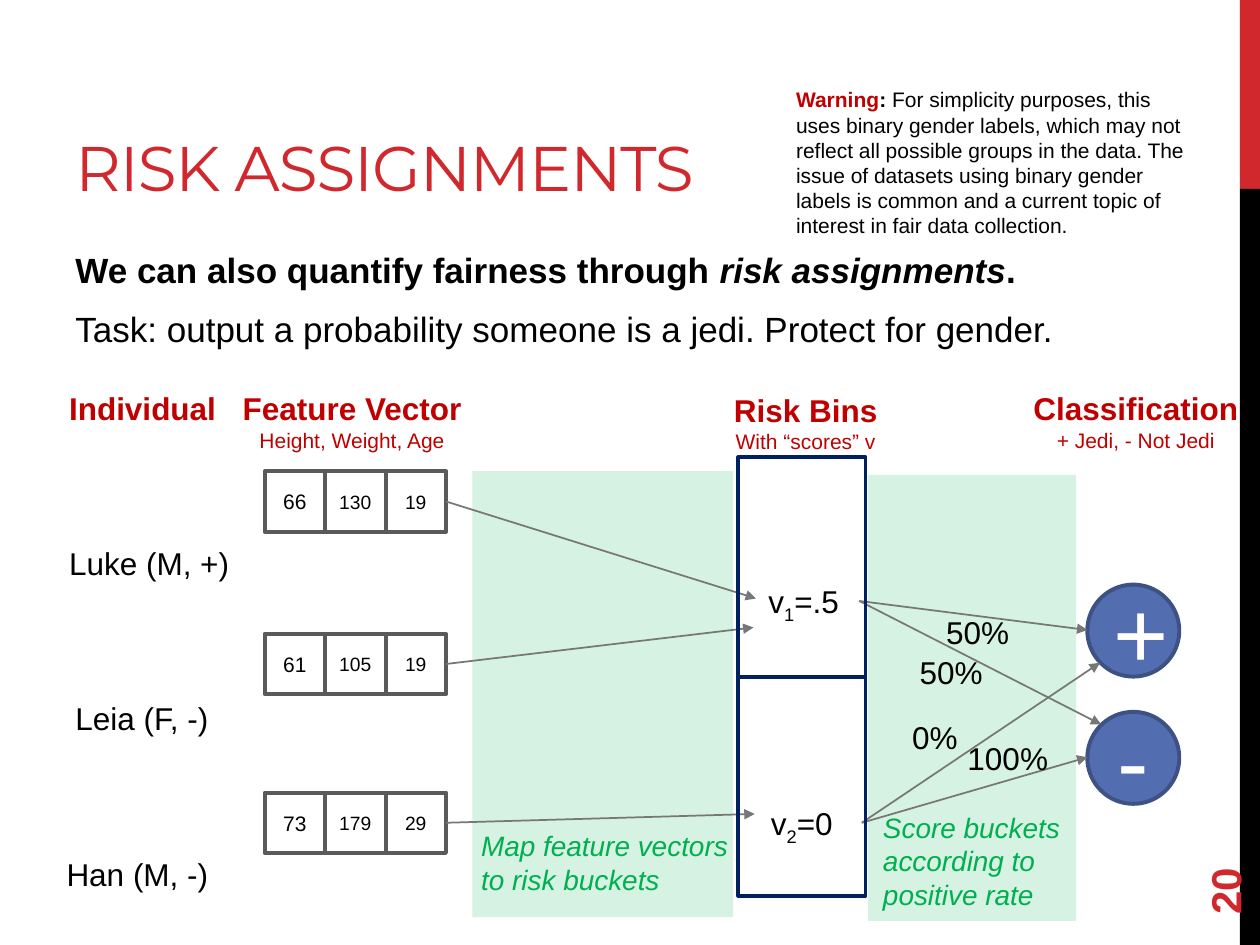
from lxml import etree
from pptx import Presentation
from pptx.dml.color import RGBColor
from pptx.enum.shapes import MSO_CONNECTOR, MSO_SHAPE
from pptx.enum.text import MSO_ANCHOR, MSO_AUTO_SIZE, PP_ALIGN
from pptx.oxml import parse_xml
from pptx.oxml.ns import nsdecls, qn
from pptx.util import Inches, Pt

RED = RGBColor(0xD1, 0x28, 0x2E)
DARK_RED = RGBColor(0xC0, 0x00, 0x00)
BLACK = RGBColor(0x00, 0x00, 0x00)
WHITE = RGBColor(0xFF, 0xFF, 0xFF)
GREEN = RGBColor(0x00, 0xB0, 0x50)
CELL_LINE = RGBColor(0x5A, 0x5A, 0x5A)
NAVY = RGBColor(0x00, 0x20, 0x60)
BLUE = RGBColor(0x52, 0x6D, 0xB0)
BLUE_LINE = RGBColor(0x3D, 0x51, 0x82)
GREY = RGBColor(0x77, 0x77, 0x77)

CELL = 0.48
CELLS_LEFT = 2.1
RIGHT_SIDE = 3


def add_span(para, text, size, color=BLACK, bold=False, italic=False,
             font="Arial", **run_attributes):
    span = para.add_run()
    span.text = text
    span.font.name = font
    span.font.size = Pt(size)
    span.font.color.rgb = color
    span.font.bold = bold
    span.font.italic = italic
    for name, value in run_attributes.items():
        span.font._element.set(name, value)


def add_text(page, left, top, width, height, paragraphs, align=PP_ALIGN.LEFT,
             anchor=MSO_ANCHOR.TOP, grow=True):
    """Each paragraph is a list of (text, size, options) spans."""
    box = page.shapes.add_textbox(Inches(left), Inches(top), Inches(width), Inches(height))
    frame = box.text_frame
    frame.word_wrap = True
    frame.auto_size = MSO_AUTO_SIZE.SHAPE_TO_FIT_TEXT if grow else MSO_AUTO_SIZE.NONE
    frame.vertical_anchor = anchor
    for index, spans in enumerate(paragraphs):
        para = frame.add_paragraph() if index else frame.paragraphs[0]
        para.alignment = align
        for text, size, options in spans:
            add_span(para, text, size, **options)
    return box


def add_block(page, kind, left, top, width, height, fill=None, line=None, alpha=None):
    shape = page.shapes.add_shape(kind, Inches(left), Inches(top), Inches(width), Inches(height))
    shape.shadow.inherit = False
    if fill is None:
        shape.fill.background()
    else:
        shape.fill.solid()
        shape.fill.fore_color.rgb = fill
    if alpha is not None:
        color = shape.fill._xPr.find(qn("a:solidFill"))[0]
        etree.SubElement(color, qn("a:alpha")).set("val", str(alpha * 1000))
    if line is None:
        shape.line.fill.background()
    else:
        shape.line.color.rgb = line
        shape.line.width = Pt(2.25)
    return shape


def add_label(shape, text, size, color):
    shape.text_frame.vertical_anchor = MSO_ANCHOR.MIDDLE
    para = shape.text_frame.paragraphs[0]
    para.alignment = PP_ALIGN.CENTER
    add_span(para, text, size, color)


def add_arrow(page, source, end_x, end_y):
    """Run an arrow from the right side of a box to a point."""
    arrow = page.shapes.add_connector(MSO_CONNECTOR.STRAIGHT, source.left, source.top,
                                      Inches(end_x), Inches(end_y))
    arrow.begin_connect(source, RIGHT_SIDE)
    arrow.line.color.rgb = GREY
    arrow.line.width = Pt(1)
    arrow.line._get_or_add_ln().append(
        parse_xml(f'<a:tailEnd {nsdecls("a")} type="triangle"/>'))
    etree.SubElement(arrow._element.spPr, qn("a:effectLst"))


def add_feature_row(page, top, values):
    """Draw one feature vector and return its last cell."""
    for column, value in enumerate(values):
        cell = add_block(page, MSO_SHAPE.RECTANGLE, CELLS_LEFT + column * CELL, top,
                         CELL, CELL, WHITE, CELL_LINE)
        add_label(cell, value, 11 if column else 12, BLACK)
    return cell


def add_heading(page, left, top, width, title, subtitle=None):
    paragraphs = [[(title, 18, {"color": DARK_RED, "bold": True})]]
    if subtitle:
        paragraphs.append([(subtitle, 12, {"color": DARK_RED})])
    add_text(page, left, top, width, 0.61 if subtitle else 0.4, paragraphs,
             PP_ALIGN.CENTER if subtitle else PP_ALIGN.LEFT)


def add_score(page, left, top, index, value):
    return add_text(page, left, top, 0.82, 0.4, [[
        ("v", 18, {}), (index, 18, {"baseline": "-25000"}), (value, 18, {})]])


def add_intro(page):
    # Title, statement, task and warning
    add_text(page, 0.5, 0.17, 6.33, 1.5,
             [[("RISK ASSIGNMENTS", 36, {"color": RED, "font": "Montserrat", "spc": "-60"})]],
             anchor=MSO_ANCHOR.BOTTOM, grow=False)
    body = add_text(page, 0.5, 1.92, 8.33, 1.06, [
        [("We can also quantify fairness through ", 20, {"bold": True}),
         ("risk assignments", 20, {"bold": True, "italic": True}),
         (".", 20, {"bold": True})],
        [("Task: output a probability someone is a jedi. Protect for gender.", 20, {})],
    ], grow=False)
    statement, task = body.text_frame.paragraphs
    statement.space_after = task.space_after = Pt(6)
    task.space_before = Pt(4)
    add_text(page, 6.22, 0.64, 3.3, 1.31, [[
        ("Warning", 12, {"color": DARK_RED, "bold": True}),
        (": ", 12, {"bold": True}),
        ("For simplicity purposes, this uses binary gender labels, which may not reflect "
         "all possible groups in the data. The issue of datasets using binary gender labels "
         "is common and a current topic of interest in fair data collection.", 12, {})]])


def main():
    deck = Presentation()
    deck.slide_width, deck.slide_height = Inches(10), Inches(7.5)
    page = deck.slides.add_slide(deck.slide_layouts[6])

    # Side band and stage backgrounds
    add_block(page, MSO_SHAPE.RECTANGLE, 9.84, 0, 0.16, 1.5, RED)
    add_block(page, MSO_SHAPE.RECTANGLE, 9.84, 1.5, 0.16, 6, BLACK)
    add_block(page, MSO_SHAPE.RECTANGLE, 6.89, 3.77, 1.65, 3.54, GREEN, alpha=16)
    add_block(page, MSO_SHAPE.RECTANGLE, 3.75, 3.74, 2.07, 3.54, GREEN, alpha=16)

    add_intro(page)
    number = add_text(page, 9, 6.44, 1.44, 0.4, [[("20", 24, {"color": RED, "bold": True})]],
                      anchor=MSO_ANCHOR.MIDDLE, grow=False)
    number.rotation = 270

    # Column headings
    add_heading(page, 0.45, 3.04, 1.45, "Individual")
    add_heading(page, 1.78, 3.04, 2.03, "Feature Vector", "Height, Weight, Age")
    add_heading(page, 5.38, 3.05, 2.03, "Risk Bins", "With “scores” v")
    add_heading(page, 8, 3.04, 2.03, "Classification", "+ Jedi, - Not Jedi")

    # Individuals, their feature vectors and the arrows to the bins
    for name, left, top, width, row_top, values, target in (
        ("Luke (M, +)", 0.45, 4.27, 1.57, 3.74, ("66", "130", "19"), (6, 4.75)),
        ("Leia (F, -)", 0.5, 5.5, 1.31, 5.03, ("61", "105", "19"), (5.98, 4.98)),
        ("Han (M, -)", 0.43, 6.74, 1.46, 6.29, ("73", "179", "29"), (5.99, 6.46)),
    ):
        add_text(page, left, top, width, 0.4, [[(name, 18, {})]])
        add_arrow(page, add_feature_row(page, row_top, values), *target)

    # Classes
    for sign, top in (("+", 4.64), ("-", 5.65)):
        circle = add_block(page, MSO_SHAPE.OVAL, 8.63, top, 0.73, 0.73, BLUE, BLUE_LINE)
        add_label(circle, sign, 54, WHITE)

    # Bins, their scores and the arrows to the classes
    for bin_top, left, top, index, value, targets in (
        (3.63, 6, 4.57, "1", "=.5", ((8.63, 5), (8.74, 5.75))),
        (5.37, 6.02, 6.33, "2", "=0", ((8.73, 5.26), (8.63, 6.01))),
    ):
        score = add_score(page, left, top, index, value)
        for target in targets:
            add_arrow(page, score, *target)
        add_block(page, MSO_SHAPE.RECTANGLE, 5.86, bin_top, 1.01, 1.74, line=NAVY)

    # Stage captions
    for caption, left, top, width, height in (
        ("Map feature vectors to risk buckets", 3.72, 6.53, 2.31, 0.64),
        ("Score buckets according to positive rate", 6.91, 6.38, 1.74, 0.91),
    ):
        add_text(page, left, top, width, height,
                 [[(caption, 16, {"color": GREEN, "italic": True})]])

    # Positive rates
    for rate, left, top, width in (("0%", 7.14, 5.65, 0.74), ("100%", 7.58, 5.82, 0.92),
                                   ("50%", 7.41, 4.82, 0.92), ("50%", 7.2, 5.13, 0.92)):
        add_text(page, left, top, width, 0.4, [[(rate, 18, {})]])

    deck.save("out.pptx")


if __name__ == "__main__":
    main()
